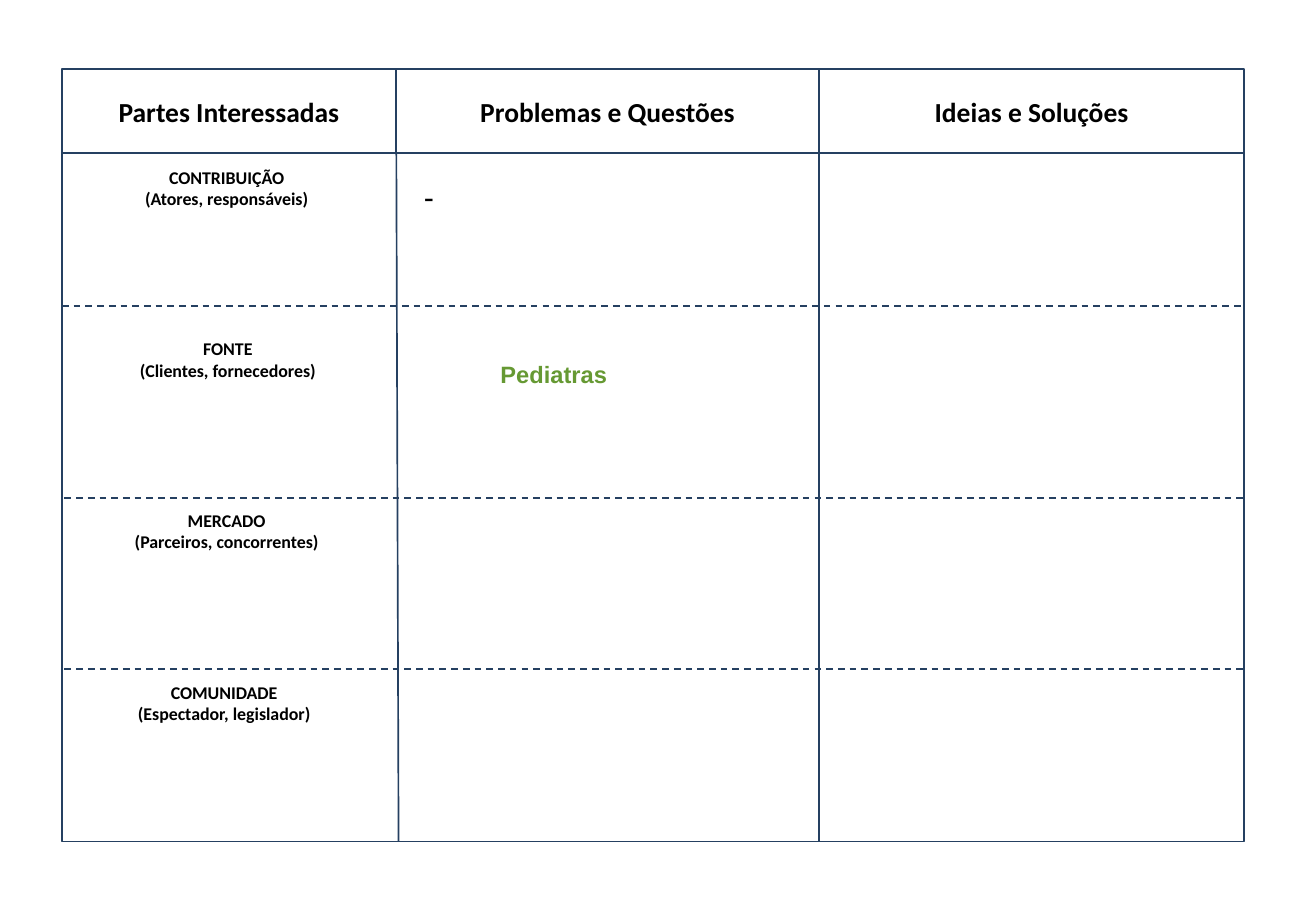
import pptx
import pptx.dml.color
import pptx.enum.dml
import pptx.enum.shapes
import pptx.enum.text
import pptx.util
import lxml.etree

Inches = pptx.util.Inches
ALIGN = pptx.enum.text.PP_ALIGN
ANCHOR = pptx.enum.text.MSO_ANCHOR
RECTANGLE = pptx.enum.shapes.MSO_SHAPE.RECTANGLE

THEME = {
    "line": pptx.dml.color.RGBColor.from_string("254061"),
    "paper": pptx.dml.color.RGBColor.from_string("FFFFFF"),
    "text": pptx.dml.color.RGBColor.from_string("000000"),
    "accent": pptx.dml.color.RGBColor.from_string("669933"),
    "line_width": pptx.util.Pt(0.99),
    "header_size": pptx.util.Pt(16.3),
    "label_size": pptx.util.Pt(10.6),
    "dash_size": pptx.util.Pt(18),
    "note_size": pptx.util.Pt(14),
}
HEADER_FONT = {"name": "Calibri", "size": THEME["header_size"], "bold": True}
LABEL_FONT = {"name": "Calibri", "size": THEME["label_size"], "bold": True}
DASH_FONT = {"name": "Arial", "size": THEME["dash_size"], "bold": False}
NOTE_FONT = {"name": "Arial", "size": THEME["note_size"], "bold": True}


def write_text(shape, lines, font, color, alignment, margins, anchor=ANCHOR.TOP, wrap=True):
    """Write one formatted paragraph per line into the shape."""
    frame = shape.text_frame
    horizontal, vertical = (Inches(margin) for margin in margins)
    frame_format = {
        "margin_left": horizontal, "margin_right": horizontal,
        "margin_top": vertical, "margin_bottom": vertical,
        "vertical_anchor": anchor, "word_wrap": wrap,
    }
    for name, value in frame_format.items():
        setattr(frame, name, value)
    frame.text = "\n".join(lines)
    for paragraph in frame.paragraphs:
        paragraph.alignment = alignment
        run_font = paragraph.runs[0].font
        for name, value in font.items():
            setattr(run_font, name, value)
        run_font.color.rgb = color


def style_outline(shape):
    """Give a shape or connector the grid line colour and width."""
    shape.line.color.rgb = THEME["line"]
    shape.line.width = THEME["line_width"]


presentation = pptx.Presentation()
presentation.slide_width = Inches(10.83)
presentation.slide_height = Inches(7.5)
slide = presentation.slides.add_slide(presentation.slide_layouts[6])
shapes = slide.shapes

left, right = 0.51, 10.24
header_top, header_height = 0.57, 0.69
body_top, bottom = header_top + header_height, 6.93

# Body frame
body = shapes.add_shape(RECTANGLE, Inches(left), Inches(body_top),
                        Inches(right - left), Inches(bottom - body_top))
body.shadow.inherit = False
body.fill.background()
style_outline(body)

# Column and row dividers
dividers = [
    (3.26, 0.73, 3.28, bottom, False),
    (6.74, 0.72, 6.74, bottom, False),
    (left, 2.52, right, 2.52, True),
    (0.53, 4.1, 10.26, 4.1, True),
    (0.53, 5.51, 10.26, 5.51, True),
]
for *ends, dashed in dividers:
    divider = shapes.add_connector(pptx.enum.shapes.MSO_CONNECTOR.STRAIGHT,
                                   *(Inches(end) for end in ends))
    style_outline(divider)
    if dashed:
        divider.line.dash_style = pptx.enum.dml.MSO_LINE.DASH
    lxml.etree.SubElement(divider._element.spPr, pptx.oxml.ns.qn("a:effectLst"))

# Stakeholder labels, one per row
stakeholders = [
    ("CONTRIBUIÇÃO", "(Atores, responsáveis)", 0.78),
    ("FONTE", "(Clientes, fornecedores)", 0.79),
    ("MERCADO", "(Parceiros, concorrentes)", 0.78),
    ("COMUNIDADE", "(Espectador, legislador)", 0.76),
]
for row, (group, members, label_left) in enumerate(stakeholders):
    label = shapes.add_textbox(Inches(label_left), Inches(1.36 + row * 1.413),
                               Inches(2.17), Inches(0.37))
    write_text(label, [group, members], LABEL_FONT, THEME["text"], ALIGN.CENTER, (0.02, 0.01))

# Column headers
headers = [
    ("Partes Interessadas", left, 3.26),
    ("Problemas e Questões", 3.26, 6.74),
    ("Ideias e Soluções", 6.74, right),
]
for title, start, end in headers:
    header = shapes.add_shape(RECTANGLE, Inches(start), Inches(header_top),
                              Inches(end - start), Inches(header_height))
    header.shadow.inherit = False
    header.fill.solid()
    header.fill.fore_color.rgb = THEME["paper"]
    style_outline(header)
    write_text(header, [title], HEADER_FONT, THEME["text"], ALIGN.CENTER,
               (0.08, 0.04), ANCHOR.MIDDLE)

# Entries in the problems column
entries = [
    ("- ", 3.39, 1.42, 0.35, 0.38, DASH_FONT, THEME["text"]),
    ("Pediatras", 4.02, 2.91, 1.08, 0.32, NOTE_FONT, THEME["accent"]),
]
for text, *place, font, color in entries:
    entry = shapes.add_textbox(*(Inches(length) for length in place))
    write_text(entry, [text], font, color, ALIGN.LEFT, (0.1, 0.05), wrap=False)

presentation.save("out.pptx")
